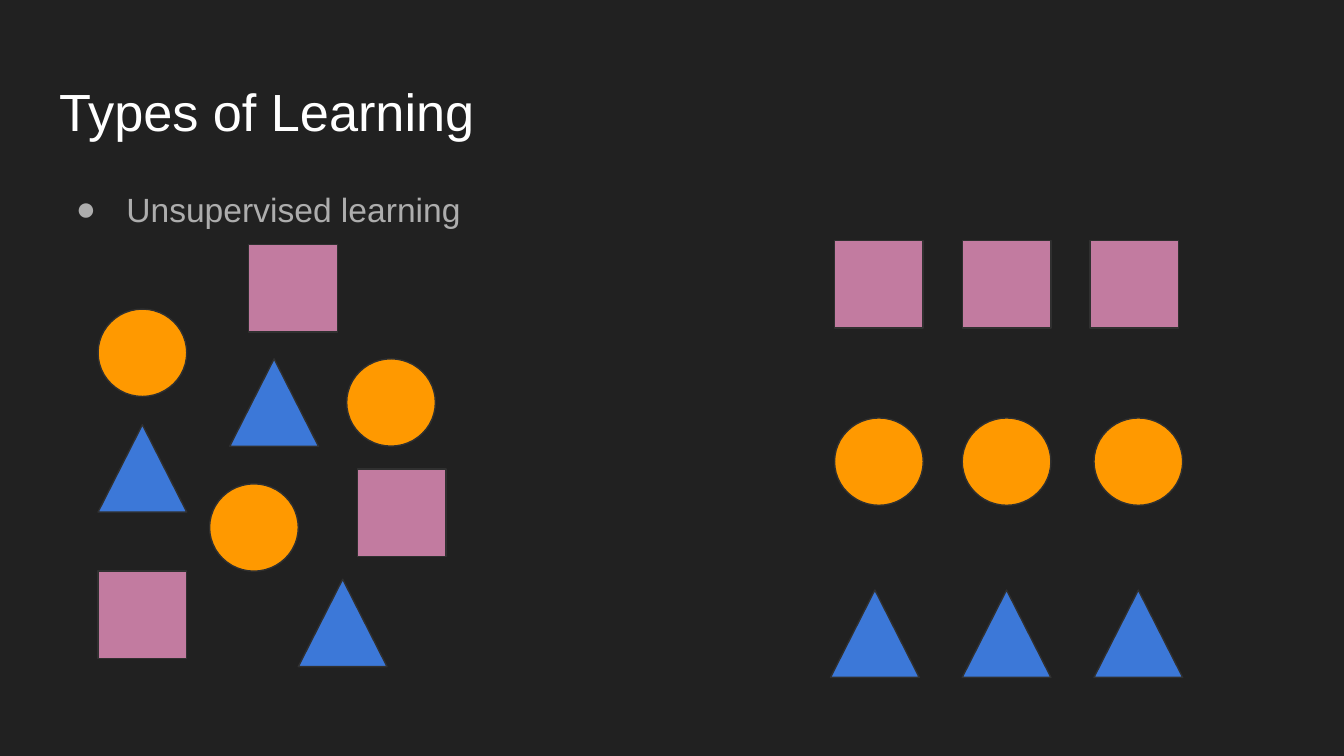
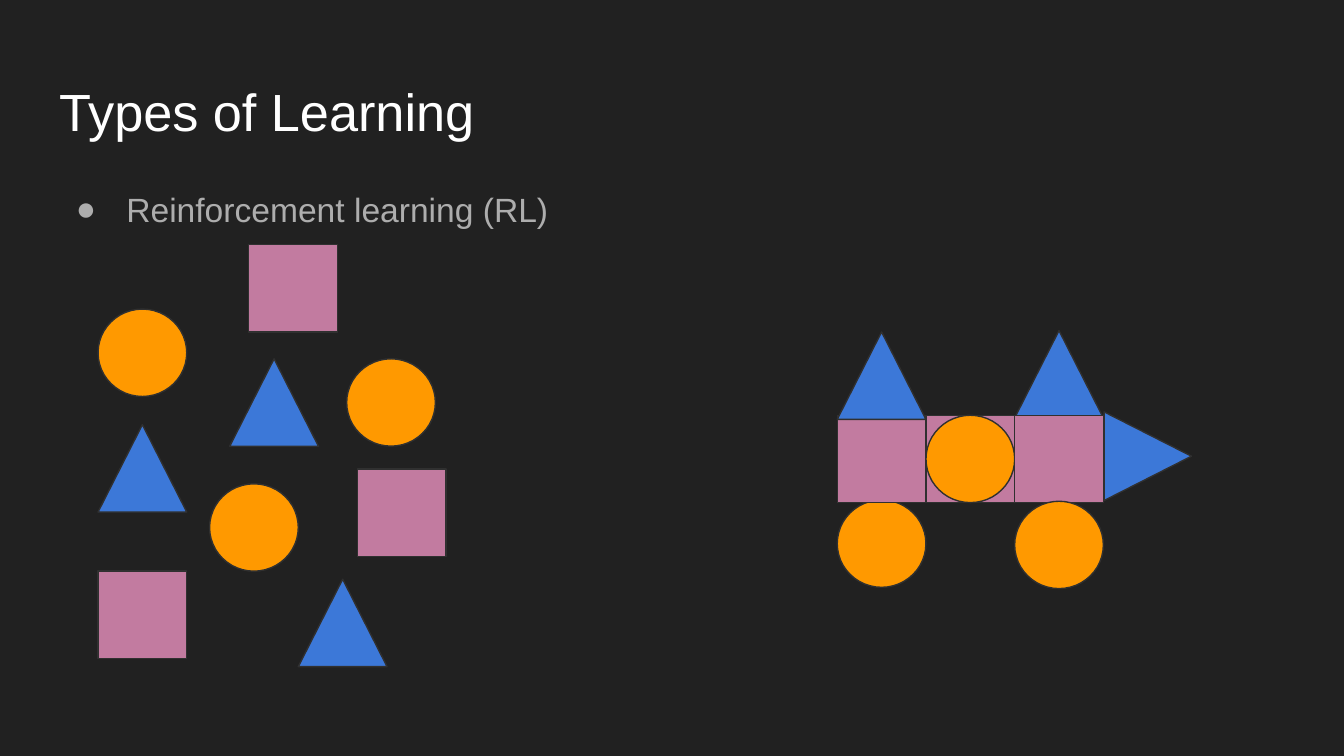
import dataclasses

import lxml.etree
import pptx
import pptx.dml.color
import pptx.enum.shapes
import pptx.enum.text
import pptx.oxml.ns
import pptx.util

PX = 4572
SHAPE = pptx.enum.shapes.MSO_SHAPE
BLOCK_W, BLOCK_H = 132, 130
COLUMNS = {"square": (1242, 1432, 1622), "circle": (1242, 1432, 1628), "triangle": (1236, 1432, 1628)}
ROWS = {"square": 358, "circle": 622, "triangle": 878}
PILE = [
    ("circle", 146, 460), ("triangle", 146, 632), ("square", 146, 850),
    ("circle", 312, 720), ("triangle", 444, 862), ("square", 532, 698),
    ("circle", 516, 534), ("triangle", 342, 534), ("square", 370, 364),
]
CAR_X = [1246 + i * BLOCK_W for i in range(4)]
CAR_Y = 618
CAR = [
    ("square", CAR_X[1], CAR_Y),
    ("circle", CAR_X[0], 744),
    ("triangle", CAR_X[3], 614, 90),
    ("square", CAR_X[0], CAR_Y),
    ("circle", CAR_X[1], CAR_Y),
    ("triangle", CAR_X[2], 492),
    ("square", CAR_X[2], CAR_Y),
    ("circle", CAR_X[2], 746),
    ("triangle", CAR_X[0], 494),
]
CLUSTERS = [(kind, x, y) for kind, y in ROWS.items() for x in COLUMNS[kind]]


def px(n):
    return pptx.util.Emu(n * PX)


def rgb(value):
    return pptx.dml.color.RGBColor.from_string(value)


@dataclasses.dataclass(frozen=True)
class Theme:
    font: str = "Arial"
    background: str = "212121"
    title: str = "FFFFFF"
    body: str = "ADADAD"
    outline: str = "303030"
    square: str = "C27BA0"
    circle: str = "FF9900"
    triangle: str = "3C78D8"
    title_size: int = 28
    body_size: int = 18
    line_width: float = 0.75


class Deck:
    presets = {"square": SHAPE.RECTANGLE, "circle": SHAPE.OVAL, "triangle": SHAPE.ISOSCELES_TRIANGLE}

    def __init__(self, theme):
        self.theme = theme
        self.prs = pptx.Presentation()
        self.prs.slide_width, self.prs.slide_height = px(2000), px(1125)
        fill = self.prs.slide_master.background.fill
        fill.solid()
        fill.fore_color.rgb = rgb(theme.background)
        self.s = None

    def add_slide(self):
        self.s = self.prs.slides.add_slide(self.prs.slide_layouts[1])

    def placeholder(self, idx, box, text, size, color):
        sp = self.s.placeholders[idx]
        sp.left, sp.top, sp.width, sp.height = map(px, box)
        tf = sp.text_frame
        tf.word_wrap = True
        tf.auto_size = pptx.enum.text.MSO_AUTO_SIZE.NONE
        tf.vertical_anchor = pptx.enum.text.MSO_ANCHOR.TOP
        tf.margin_left = tf.margin_right = tf.margin_top = tf.margin_bottom = px(20)
        p = tf.paragraphs[0]
        p.alignment = pptx.enum.text.PP_ALIGN.LEFT
        p.space_before = pptx.util.Pt(0)
        r = p.add_run()
        r.text = text
        r.font.name = self.theme.font
        r.font.size = pptx.util.Pt(size)
        r.font.color.rgb = rgb(color)
        return p

    def title(self, text):
        self.placeholder(0, (68, 98, 1864, 126), text, self.theme.title_size, self.theme.title)

    def bullet(self, text):
        p = self.placeholder(1, (68, 252, 1864, 748), text, self.theme.body_size, self.theme.body)
        p.line_spacing = 1.15
        qn = pptx.oxml.ns.qn
        pPr = p._p.get_or_add_pPr()
        pPr.set("marL", str(px(100)))
        pPr.set("indent", str(px(-75)))
        color = lxml.etree.SubElement(pPr, qn("a:buClr"))
        lxml.etree.SubElement(color, qn("a:srgbClr"), val=self.theme.body)
        lxml.etree.SubElement(pPr, qn("a:buFont"), typeface=self.theme.font)
        lxml.etree.SubElement(pPr, qn("a:buChar"), char="●")

    def block(self, kind, x, y, rotation=0):
        sp = self.s.shapes.add_shape(self.presets[kind], px(x), px(y), px(BLOCK_W), px(BLOCK_H))
        sp.rotation = rotation
        sp.shadow.inherit = False
        sp.fill.solid()
        sp.fill.fore_color.rgb = rgb(getattr(self.theme, kind))
        sp.line.color.rgb = rgb(self.theme.outline)
        sp.line.width = pptx.util.Pt(self.theme.line_width)

    def learning_slide(self, method, result):
        self.add_slide()
        self.title("Types of Learning")
        self.bullet(method)
        for item in PILE + result:
            self.block(*item)


def main():
    deck = Deck(Theme())
    deck.learning_slide("Unsupervised learning", CLUSTERS)
    deck.learning_slide("Reinforcement learning (RL)", CAR)
    deck.prs.save("out.pptx")


if __name__ == "__main__":
    main()
